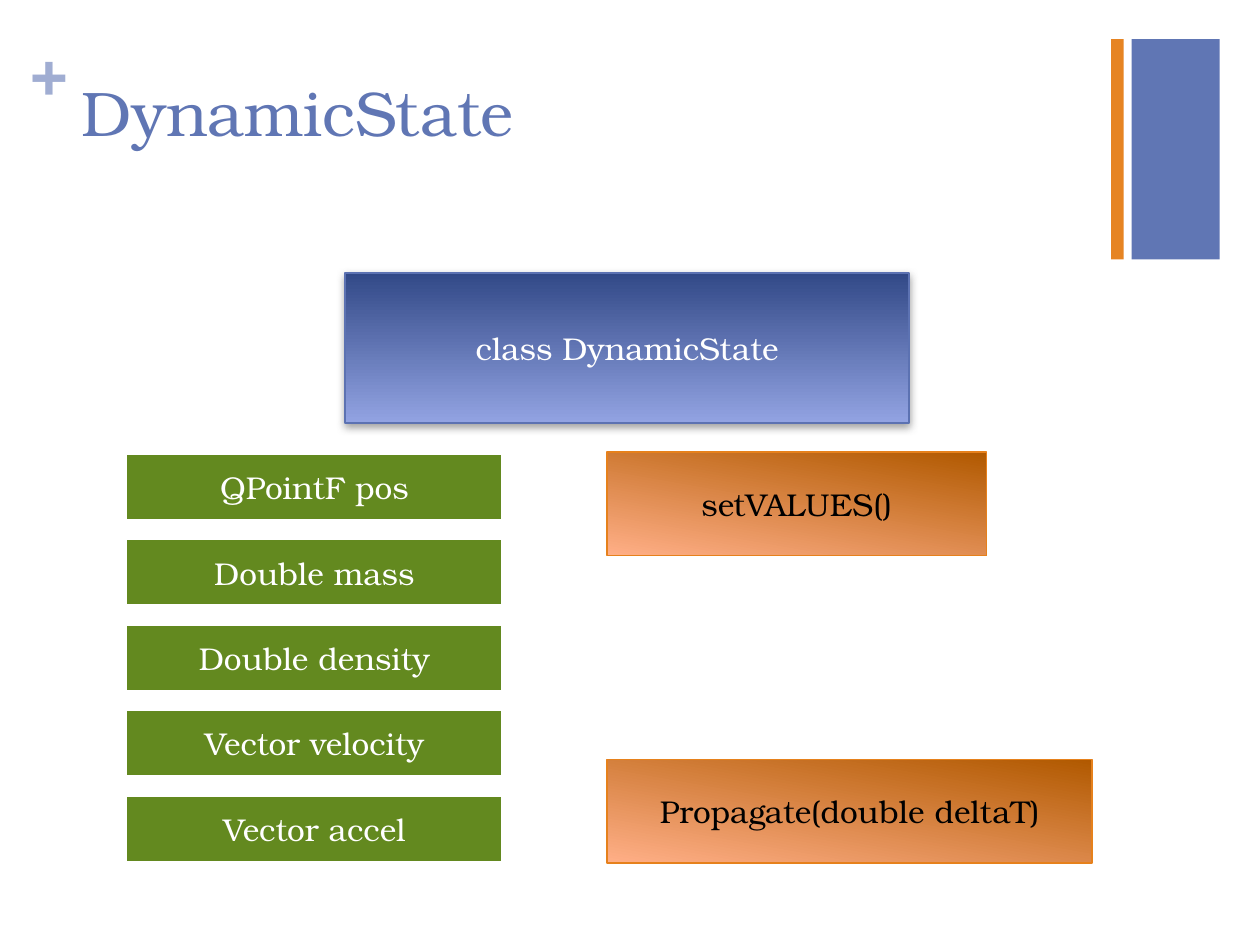
from dataclasses import dataclass
from typing import Optional

from lxml import etree
from pptx import Presentation
from pptx.dml.color import RGBColor
from pptx.enum import shapes, text
from pptx.oxml import ns
from pptx.util import Pt


@dataclass(frozen=True)
class Theme:
    font: str = "TeX Gyre Bonum"
    heading_size: float = 36
    label_size: float = 18
    blue: str = "6076B4"
    pale_blue: str = "A0ADD2"
    orange: str = "E68422"
    white: str = "FFFFFF"
    black: str = "000000"
    shadow: str = "808080"


@dataclass(frozen=True)
class Style:
    fill: tuple[str, ...]  # one colour, or the two ends of a gradient
    angle: float = 0  # counter-clockwise, as python-pptx counts
    line: Optional[str] = None
    line_width: float = 1
    ink: str = "FFFFFF"
    shadow: bool = False


@dataclass(frozen=True)
class Box:
    left: float
    top: float
    width: float
    height: float
    style: Style
    label: str = ""


@dataclass(frozen=True)
class Heading:
    left: float
    top: float
    width: float
    height: float
    words: str
    color: str
    bold: bool = False
    margins: tuple[float, float, float, float] = (7.2, 3.6, 7.2, 3.6)


THEME = Theme()
BLUE_PANEL = Style((THEME.blue,))
ORANGE_PANEL = Style((THEME.orange,))
CLASS_STYLE = Style(("324987", "92A3E2"), 270, "5C72B2", shadow=True)
METHOD_STYLE = Style(("B15900", "FFAF87"), 260, "E6811C", ink=THEME.black)
ATTRIBUTE_STYLE = Style(("63891F",), line=THEME.white, line_width=3)

ATTRIBUTES = ("QPointF pos", "Double mass", "Double density",
              "Vector velocity", "Vector accel")
LIST_TOP, ATTRIBUTE_PITCH = 258.5, 48.8
METHOD_LEFT, METHOD_HEIGHT = 347, 59

BOXES = [
    Box(646.6, 22.3, 50.4, 126, BLUE_PANEL),
    Box(635, 22.3, 7.2, 126, ORANGE_PANEL),
    Box(197.3, 156, 322, 85.7, CLASS_STYLE, "class DynamicState"),
    Box(METHOD_LEFT, LIST_TOP, 216.7, METHOD_HEIGHT, METHOD_STYLE, "setVALUES()"),
    Box(METHOD_LEFT, 434, 277.2, METHOD_HEIGHT, METHOD_STYLE,
        "Propagate(double deltaT)"),
    *(Box(71.3, LIST_TOP + row * ATTRIBUTE_PITCH, 216.7, 39.6,
          ATTRIBUTE_STYLE, name) for row, name in enumerate(ATTRIBUTES)),
]
HEADINGS = [
    Heading(17.3, 18, 21, 44, "+", THEME.pale_blue, True, (0, 0, 0, 0)),
    Heading(39.6, 38.2, 594.7, 87.8, "DynamicState", THEME.blue),
]


def write(paragraph, words: str, size: float, color: str, bold: bool = False) -> None:
    run = paragraph.add_run()
    run.text = words
    for name, value in {"name": THEME.font, "size": Pt(size), "bold": bold}.items():
        setattr(run.font, name, value)
    run.font.color.rgb = RGBColor.from_string(color)


def paint(shape, style: Style) -> None:
    """Set the fill and outline of a shape."""
    if len(style.fill) == 2:
        shape.fill.gradient()
        shape.fill.gradient_angle = style.angle
        for position, (stop, color) in enumerate(
                zip(shape.fill.gradient_stops, style.fill)):
            stop.position = position
            stop.color.rgb = RGBColor.from_string(color)
    else:
        shape.fill.solid()
        shape.fill.fore_color.rgb = RGBColor.from_string(style.fill[0])
    if style.line:
        shape.line.color.rgb = RGBColor.from_string(style.line)
        shape.line.width = Pt(style.line_width)
    else:
        shape.line.fill.background()


def add_drop_shadow(shape) -> None:
    """Put a soft shadow below the shape, in its own effect list."""
    effects = shape.element.spPr.find(ns.qn("a:effectLst"))
    shadow = etree.SubElement(effects, ns.qn("a:outerShdw"), {
        "blurRad": str(Pt(5)), "dist": str(Pt(2)),
        "dir": "5400000", "rotWithShape": "0"})
    color = etree.SubElement(shadow, ns.qn("a:srgbClr"), val=THEME.shadow)
    etree.SubElement(color, ns.qn("a:alpha"), val="75000")


def draw_box(slide, box: Box) -> None:
    shape = slide.shapes.add_shape(
        shapes.MSO_SHAPE.RECTANGLE,
        Pt(box.left), Pt(box.top), Pt(box.width), Pt(box.height))
    paint(shape, box.style)
    shape.shadow.inherit = False
    if box.style.shadow:
        add_drop_shadow(shape)
    if box.label:
        shape.text_frame.vertical_anchor = text.MSO_ANCHOR.MIDDLE
        paragraph = shape.text_frame.paragraphs[0]
        paragraph.alignment = text.PP_ALIGN.CENTER
        write(paragraph, box.label, THEME.label_size, box.style.ink)


def draw_heading(slide, heading: Heading) -> None:
    frame = slide.shapes.add_textbox(
        Pt(heading.left), Pt(heading.top),
        Pt(heading.width), Pt(heading.height)).text_frame
    frame.word_wrap = True
    for side, margin in zip(("left", "top", "right", "bottom"), heading.margins):
        setattr(frame, f"margin_{side}", Pt(margin))
    write(frame.paragraphs[0], heading.words, THEME.heading_size,
          heading.color, heading.bold)


def main() -> None:
    presentation = Presentation()
    presentation.slide_width, presentation.slide_height = Pt(720), Pt(540)
    slide = presentation.slides.add_slide(presentation.slide_layouts[6])
    for box in BOXES:
        draw_box(slide, box)
    for heading in HEADINGS:
        draw_heading(slide, heading)
    presentation.save("out.pptx")


if __name__ == "__main__":
    main()
